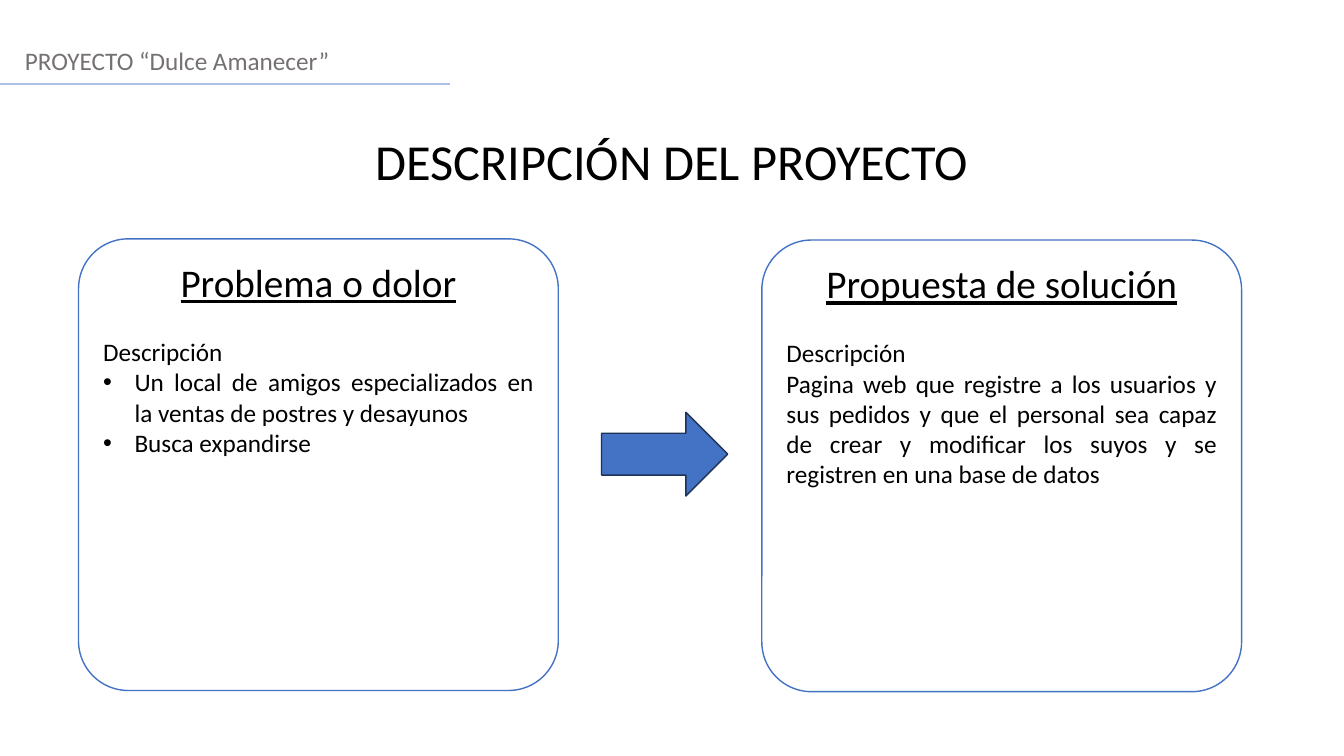
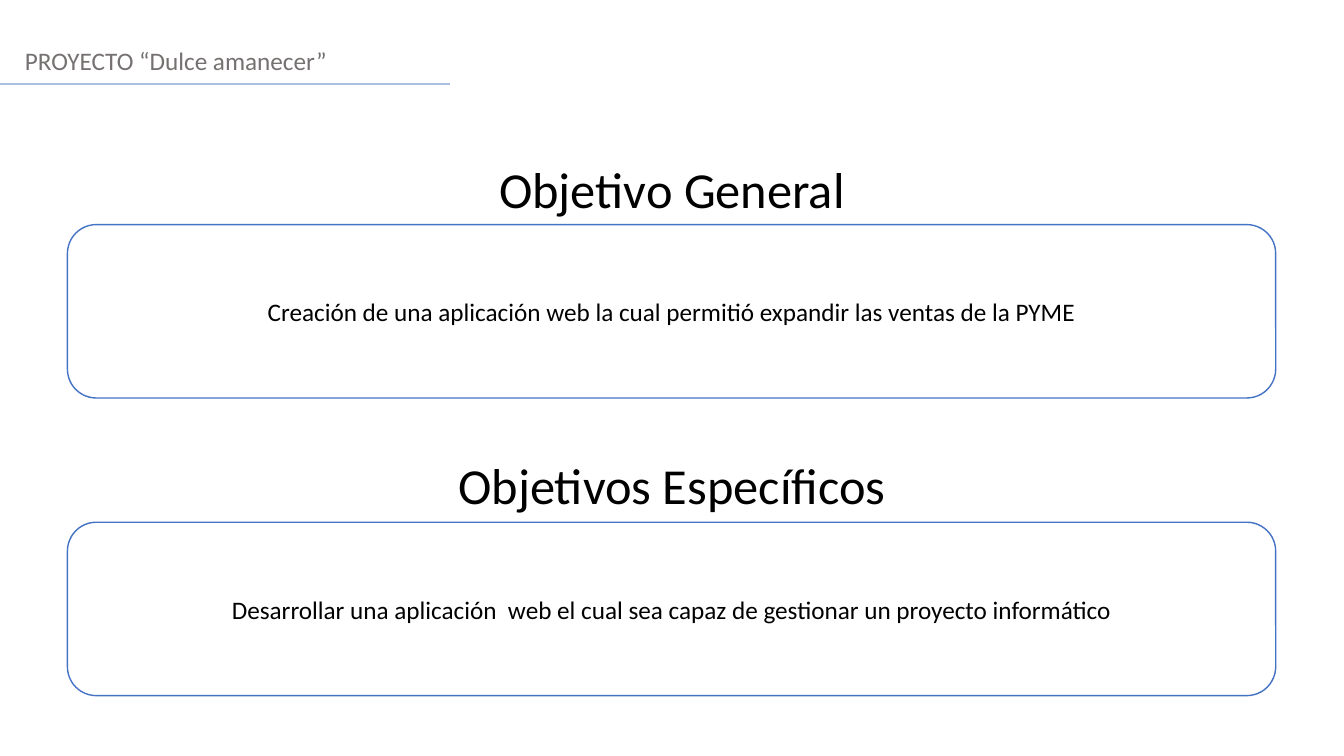
from lxml import etree
from pptx import Presentation
from pptx.dml.color import RGBColor
from pptx.enum.shapes import MSO_CONNECTOR as Link, MSO_SHAPE as Form
from pptx.enum.text import MSO_ANCHOR as Anchor, MSO_AUTO_SIZE as Fit, PP_ALIGN as Align
from pptx.oxml.ns import qn
from pptx.util import Cm, Pt

BLACK, WHITE, GREY = "000000", "FFFFFF", "767171"
BLUE, NAVY, PALE = "4472C4", "1E3256", "ABC0E4"
WIDE, HIGH = 33.87, 19.05


def write(frame, text, size, align, color=BLACK, under=False, anchor=Anchor.TOP):
    frame.word_wrap = True
    frame.auto_size = Fit.NONE
    frame.vertical_anchor = anchor
    par = frame.paragraphs[0]
    if par.runs:
        par = frame.add_paragraph()
    par.alignment = align
    par.space_before = Pt(0)
    run = par.add_run()
    run.text = text
    font = run.font
    font.name, font.size, font.underline = "Calibri", Pt(size), under
    font.color.rgb = RGBColor.from_string(color)
    return par


def draw(slide, form, spot, fill, line):
    shape = slide.shapes.add_shape(form, *map(Cm, spot))
    shape.shadow.inherit = False
    shape.fill.solid()
    shape.fill.fore_color.rgb = RGBColor.from_string(fill)
    shape.line.color.rgb = RGBColor.from_string(line)
    shape.line.width = Pt(1)
    return shape


deck = Presentation()
deck.slide_width, deck.slide_height = Cm(WIDE), Cm(HIGH)

pages = []
for kind, name, title, top in [
    (3, "PROYECTO “Dulce Amanecer”", "DESCRIPCIÓN DEL PROYECTO", 3.15),
    (5, "PROYECTO “Dulce amanecer”", "Objetivo General", 3.84),
]:
    page = deck.slides.add_slide(deck.slide_layouts[kind])
    pages.append(page)
    head = page.shapes.title
    head.left, head.top, head.width, head.height = map(Cm, (0, top, WIDE, 1.8))
    write(head.text_frame, title, 36, Align.CENTER, anchor=Anchor.MIDDLE)
    label = page.shapes.add_textbox(Cm(0.38), Cm(1.02), Cm(WIDE - 0.38), Cm(1.02))
    write(label.text_frame, name, 18, Align.LEFT, GREY)
    rule = page.shapes.add_connector(Link.STRAIGHT, 0, Cm(2.11), Cm(11.35), Cm(2.11))
    rule.line.color.rgb = RGBColor.from_string(PALE)
    rule.line.width = Pt(1.25)
    etree.SubElement(rule.element.spPr, qn("a:effectLst"))

plan, goals = pages

cards = [
    (1.98, 6.02, "Problema o dolor", [
        ("Descripción", False),
        ("Un local de amigos especializados en la ventas de postres y desayunos", True),
        ("Busca expandirse", True),
    ]),
    (19.2, 6.05, "Propuesta de solución", [
        ("Descripción", False),
        ("Pagina web que registre a los usuarios y sus pedidos y que el personal "
         "sea capaz de crear y modificar los suyos y se registren en una base de datos", False),
    ]),
]
for slot, (left, top, title, lines) in enumerate(cards, 1):
    card = draw(plan, Form.ROUNDED_RECTANGLE, (left, top, 12.09, 11.38), WHITE, BLUE)
    card.adjustments[0] = 0.11
    write(card.text_frame, title, 28, Align.CENTER, under=True)
    body = plan.placeholders[slot]
    body.left, body.top, body.width, body.height = map(Cm, (left + 0.62, top + 2.46, 10.85, 8))
    plan.shapes.element.append(body.element)
    frame = body.text_frame
    frame.margin_left = frame.margin_right = frame.margin_top = frame.margin_bottom = 0
    for text, dot in lines:
        par = write(frame, text, 18, Align.JUSTIFY)
        props = par._p.get_or_add_pPr()
        dent = Cm(0.79) if dot else 0
        props.set("marL", str(dent))
        props.set("indent", str(-dent))
        if dot:
            etree.SubElement(props, qn("a:buFont")).set("typeface", "Arial")
            etree.SubElement(props, qn("a:buChar")).set("char", "•")
        else:
            etree.SubElement(props, qn("a:buNone"))

draw(plan, Form.RIGHT_ARROW, (15.16, 10.39, 3.18, 2.11), BLUE, NAVY)

extra = goals.shapes.add_textbox(0, Cm(11.33), Cm(WIDE), Cm(1.8))
write(extra.text_frame, "Objetivos Específicos", 36, Align.CENTER)

for top, text in [
    (5.66, "Creación de una aplicación web la cual permitió expandir las ventas de la PYME"),
    (13.16, "Desarrollar una aplicación  web el cual sea capaz de gestionar un proyecto informático"),
]:
    card = draw(goals, Form.ROUNDED_RECTANGLE, (1.7, top, 30.45, 4.37), WHITE, BLUE)
    write(card.text_frame, text, 18, Align.CENTER, anchor=Anchor.MIDDLE)

deck.save("out.pptx")
